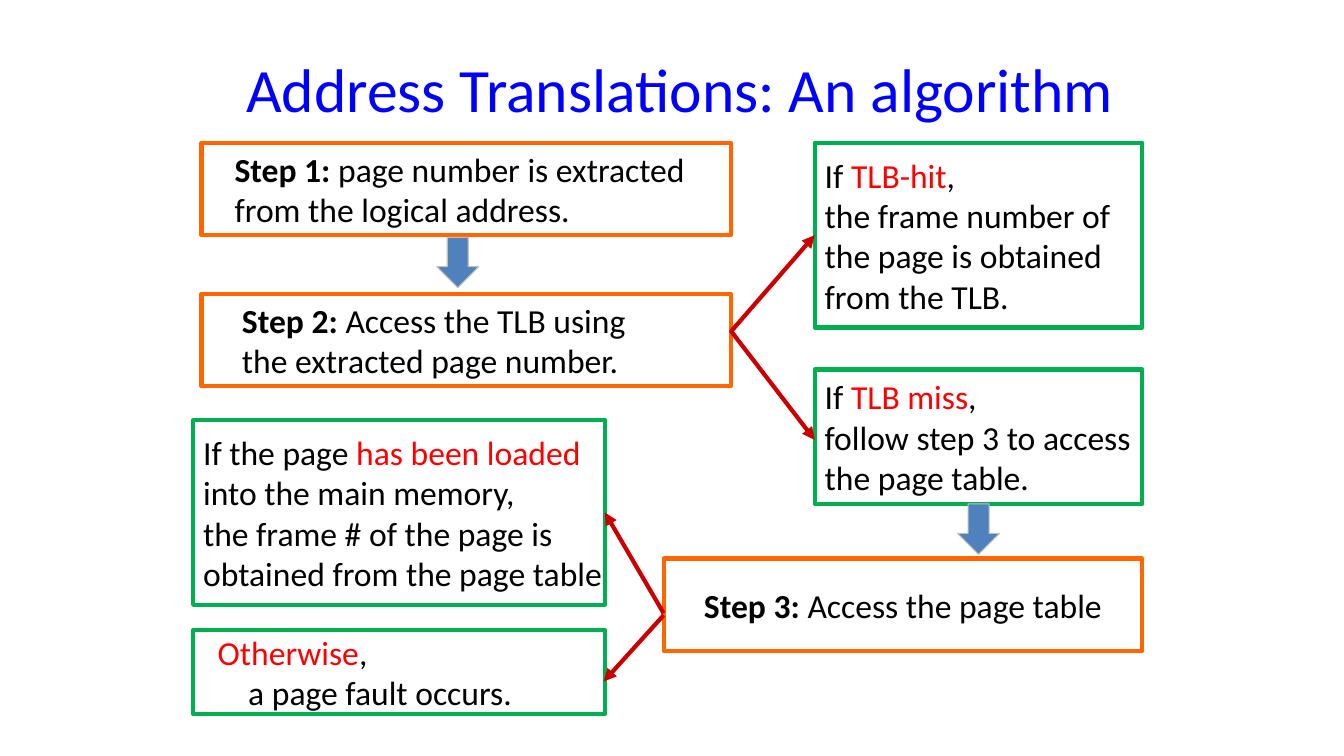
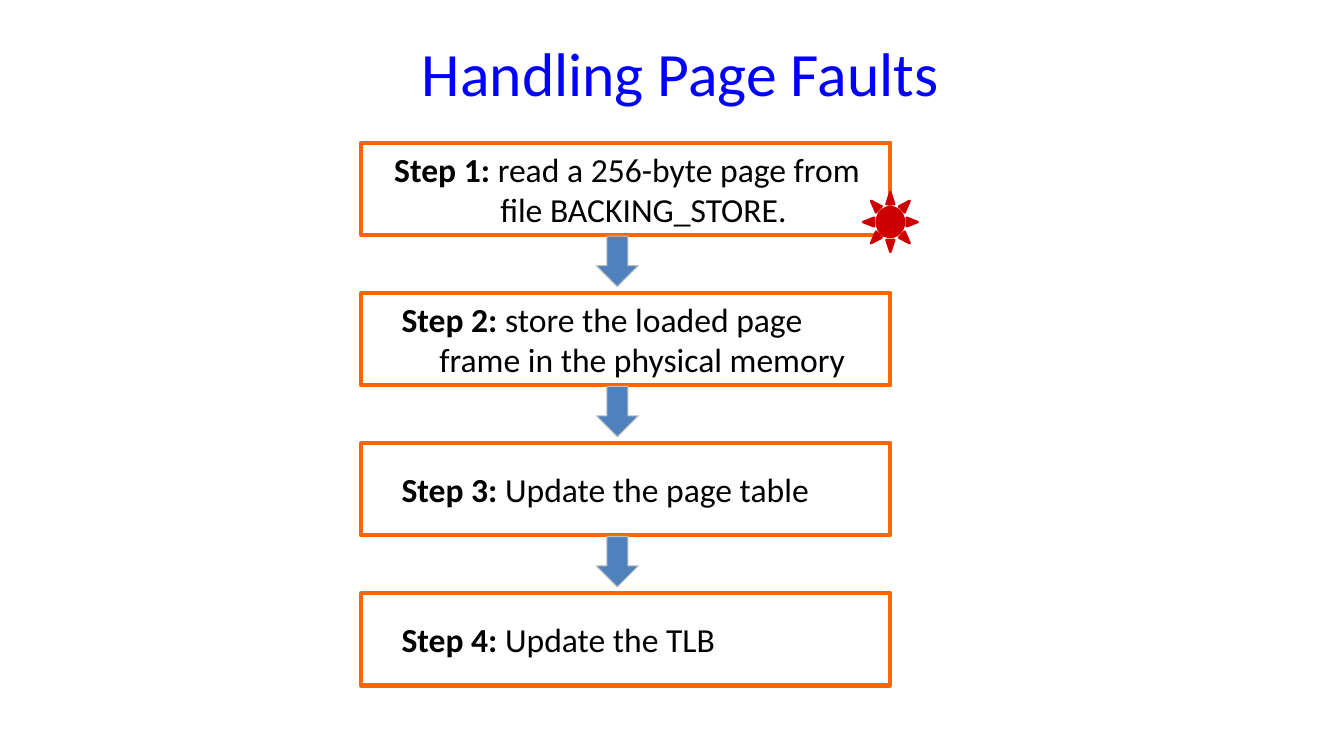
"""Build two slides on address translation and page faults."""
from dataclasses import dataclass

from lxml import etree
from pptx import Presentation
from pptx import util as u
from pptx.dml.color import RGBColor
from pptx.enum import shapes, text
from pptx.oxml import ns

SCALE = 9525
FONT = "Calibri"
BLACK = RGBColor(0x00, 0x00, 0x00)
WHITE = RGBColor(0xFF, 0xFF, 0xFF)
BLUE = RGBColor(0x00, 0x00, 0xFF)
RED = RGBColor(0xFF, 0x00, 0x00)
CRIMSON = RGBColor(0xCC, 0x00, 0x00)
ORANGE = RGBColor(0xFF, 0x66, 0x00)
GREEN = RGBColor(0x00, 0xB0, 0x50)
STEEL = RGBColor(0x4F, 0x81, 0xBD)
SILVER = RGBColor(0xC0, 0xC0, 0xC0)
STEP_W, STEP_H, PITCH, TOP = 504, 88, 143, 136
ARROW_W, ARROW_H, ARROW_UP = 40, 48, 54
KIND = shapes.MSO_SHAPE


@dataclass(frozen=True)
class Run:
    text: str
    color: RGBColor = BLACK
    bold: bool = False


@dataclass(frozen=True)
class Line:
    runs: tuple[Run, ...]
    indent: int = 0


@dataclass(frozen=True)
class Box:
    left: int
    top: int
    width: int
    height: int
    edge: RGBColor
    lines: tuple[Line, ...]


@dataclass(frozen=True)
class Link:
    x: int
    y: int
    to_x: int
    to_y: int


def px(count: int) -> u.Emu:
    return u.Emu(count * SCALE)


def plain(words: str, indent: int = 0) -> Line:
    return Line((Run(words),), indent)


def head(before: str, key: str, after: str = "", indent: int = 0) -> Line:
    runs = (Run(before), Run(key, RED), Run(after))
    return Line(tuple(run for run in runs if run.text), indent)


def step(left: int, top: int, num: int, words: str, *more: Line,
         indent: int = 29, width: int = STEP_W) -> Box:
    first = Line((Run(f"Step {num}:", bold=True), Run(" " + words)), indent)
    return Box(left, top, width, STEP_H, ORANGE, (first, *more))


def style(font, size: int, color: RGBColor, bold: bool = False) -> None:
    font.name, font.size, font.bold = FONT, u.Pt(size), bold
    font.color.rgb = color


def new_slide(deck, title: str, top: int):
    slide = deck.slides.add_slide(deck.slide_layouts[5])
    hold = slide.shapes.title
    hold.left, hold.top, hold.width, hold.height = map(px, (200, top, 896, 88))
    frame = hold.text_frame
    frame.text = title
    frame.vertical_anchor = text.MSO_ANCHOR.MIDDLE
    frame.paragraphs[0].alignment = text.PP_ALIGN.CENTER
    style(frame.paragraphs[0].runs[0].font, 44, BLUE)
    return slide


def add_form(slide, kind, left: int, top: int, width: int, height: int,
             fill: RGBColor, edge: RGBColor, weight: float):
    form = slide.shapes.add_shape(kind, px(left), px(top), px(width), px(height))
    form.shadow.inherit = False
    form.fill.solid()
    form.fill.fore_color.rgb = fill
    form.line.color.rgb = edge
    form.line.width = u.Pt(weight)
    return form


def add_box(slide, box: Box) -> None:
    form = add_form(slide, KIND.RECTANGLE, box.left, box.top, box.width,
                    box.height, WHITE, box.edge, 3)
    frame = form.text_frame
    frame.word_wrap = True
    frame.margin_right = 0
    frame.vertical_anchor = text.MSO_ANCHOR.MIDDLE
    for i, line in enumerate(box.lines):
        para = frame.add_paragraph() if i else frame.paragraphs[0]
        para.alignment = text.PP_ALIGN.LEFT
        para._p.get_or_add_pPr().set("marL", str(px(line.indent)))
        for item in line.runs:
            run = para.add_run()
            run.text = item.text
            style(run.font, 24, item.color, item.bold)


def add_arrow(slide, left: int, top: int) -> None:
    add_form(slide, KIND.DOWN_ARROW, left, top, ARROW_W, ARROW_H,
             STEEL, SILVER, 0.75)


def add_link(slide, link: Link) -> None:
    ends = map(px, (link.x, link.y, link.to_x, link.to_y))
    wire = slide.shapes.add_connector(shapes.MSO_CONNECTOR.STRAIGHT, *ends)
    wire.line.color.rgb = CRIMSON
    wire.line.width = u.Pt(3)
    tail = etree.SubElement(wire.line._get_or_add_ln(), ns.qn("a:tailEnd"))
    tail.set("type", "triangle")
    etree.SubElement(wire._element.spPr, ns.qn("a:effectLst"))


def draw_lookup(deck) -> None:
    slide = new_slide(deck, "Address Translations: An algorithm", 40)
    boxes = (
        step(192, TOP, 1, "page number is extracted",
             plain("from the logical address.", 22), indent=22),
        step(192, 280, 2, "Access the TLB using",
             plain("the extracted page number.", 29)),
        step(632, 532, 3, "Access the page table", width=456),
        Box(776, TOP, 312, 176, GREEN, (
            head("If ", "TLB-hit", ","), plain("the frame number of"),
            plain("the page is obtained"), plain("from the TLB."))),
        Box(776, 352, 312, 128, GREEN, (
            head("If ", "TLB miss", ","), plain("follow step 3 to access"),
            plain("the page table."))),
        Box(184, 600, 392, 80, GREEN, (
            head("", "Otherwise", ",", 14),
            plain("a page fault occurs.", 43))),
        Box(184, 400, 392, 176, GREEN, (
            head("If the page ", "has been loaded"),
            plain("into the main memory,"),
            plain("the frame # of the page is"),
            plain("obtained from the page table"))),
    )
    for box in boxes:
        add_box(slide, box)
    for left, top in ((416, 226), (912, 480)):
        add_arrow(slide, left, top)
    for link in (Link(696, 316, 776, 224), Link(696, 315, 776, 419),
                 Link(632, 584, 576, 488), Link(632, 586, 575, 649)):
        add_link(slide, link)


def draw_fault(deck) -> None:
    slide = new_slide(deck, "Handling Page Faults", 24)
    left = 344
    tops = [TOP + PITCH * i for i in range(4)]
    boxes = (
        step(left, tops[0], 1, "read a 256-byte page from",
             plain("file BACKING_STORE.", 123), indent=22),
        step(left, tops[1], 2, "store the loaded page",
             plain("frame in the physical memory", 65)),
        step(left, tops[2], 3, "Update the page table"),
        step(left, tops[3], 4, "Update the TLB"),
    )
    for box in boxes:
        add_box(slide, box)
    for top in tops[1:]:
        add_arrow(slide, 568, top - ARROW_UP)
    add_form(slide, KIND.SUN, 822, 183, 52, 57, CRIMSON, CRIMSON, 1.75)


def main() -> None:
    deck = Presentation()
    deck.slide_width, deck.slide_height = px(1280), px(720)
    draw_lookup(deck)
    draw_fault(deck)
    deck.save("out.pptx")


if __name__ == "__main__":
    main()
